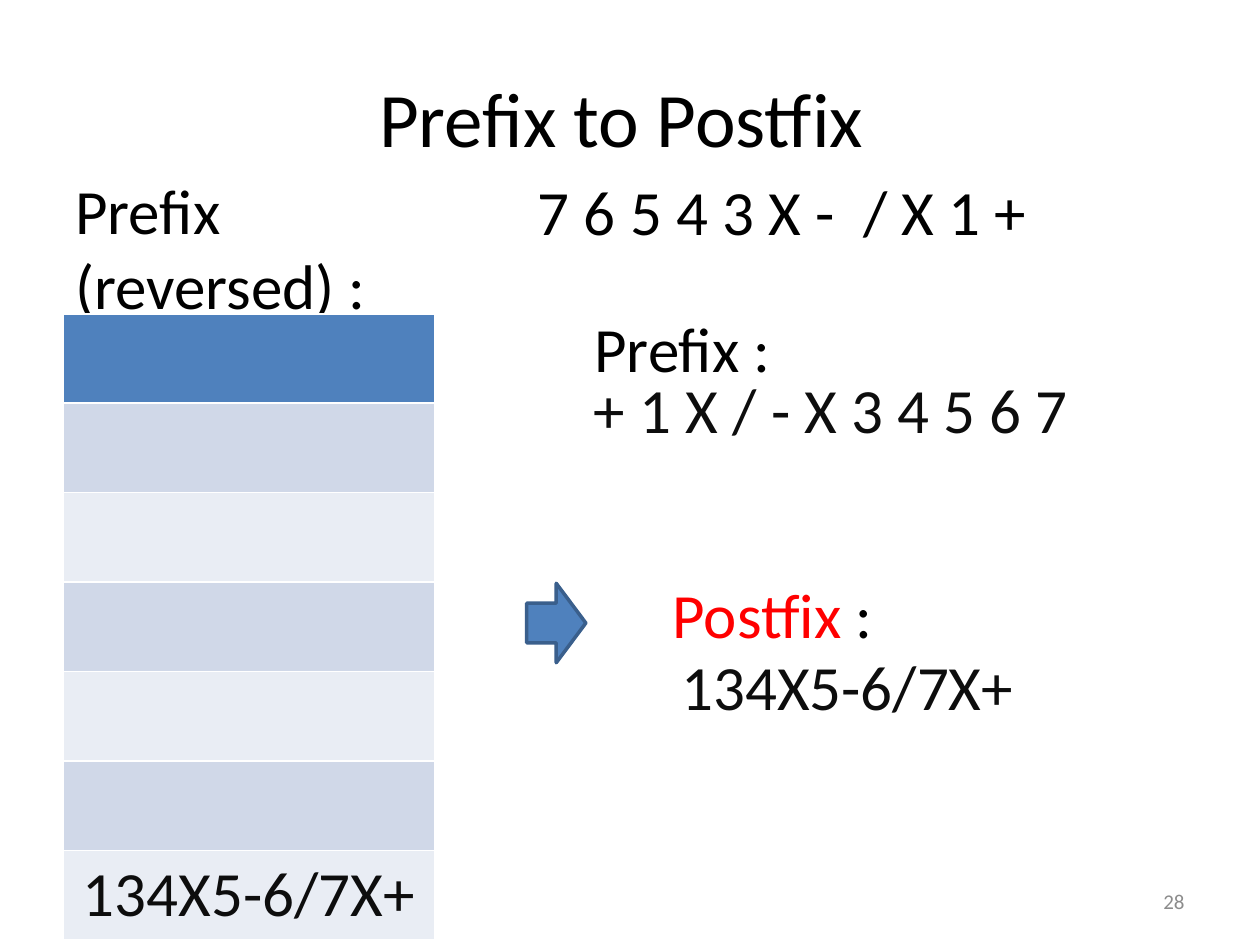
"""Build the Prefix to Postfix slide with its stack table and results."""
from pptx import Presentation
from pptx.dml.color import RGBColor
from pptx.enum.shapes import MSO_SHAPE as Shape
from pptx.enum.text import MSO_ANCHOR as Anchor, PP_ALIGN as Align
from pptx.util import Inches, Pt

BLACK = RGBColor(0x00, 0x00, 0x00)
DARK = RGBColor(0x0D, 0x0D, 0x0D)
GRAY = RGBColor(0x8C, 0x8C, 0x8C)
RED = RGBColor(0xFF, 0x00, 0x00)
BLUE = RGBColor(0x4F, 0x81, 0xBD)
BLUE_EDGE = RGBColor(0x3A, 0x5F, 0x8C)
BAND_DARK = RGBColor(0xD0, 0xD8, 0xE8)
BAND_LIGHT = RGBColor(0xE9, 0xED, 0xF4)


class SlideBuilder:
    font = "Calibri"
    size = 36

    def __init__(self, prs):
        self.s = prs.slides.add_slide(prs.slide_layouts[5])

    def style(self, p, size=None, color=BLACK, align=Align.LEFT):
        p.alignment = align
        p.font.name = self.font
        p.font.size = Pt(size or self.size)
        p.font.color.rgb = color

    def title(self, text, box):
        sp = self.s.shapes.title
        sp.left, sp.top, sp.width, sp.height = map(Inches, box)
        tf = sp.text_frame
        tf.text = text
        tf.vertical_anchor = Anchor.MIDDLE
        self.style(tf.paragraphs[0], 44, align=Align.CENTER)

    def text(self, text, box, anchor=Anchor.TOP, **style):
        tf = self.s.shapes.add_textbox(*map(Inches, box)).text_frame
        tf.word_wrap = True
        tf.vertical_anchor = anchor
        p = tf.paragraphs[0]
        p.text = text
        self.style(p, **style)
        return p

    def stack(self, items, left, top, width, row_height):
        height = row_height * len(items)
        frame = self.s.shapes.add_table(len(items), 1, *map(Inches, (left, top, width, height)))
        for i, item in enumerate(items):
            cell = frame.table.cell(i, 0)
            cell.fill.solid()
            band = BAND_DARK if i % 2 else BAND_LIGHT
            cell.fill.fore_color.rgb = band if i else BLUE
            p = cell.text_frame.paragraphs[0]
            p.text = item
            self.style(p, color=DARK, align=Align.CENTER)

    def arrow(self, box):
        sp = self.s.shapes.add_shape(Shape.RIGHT_ARROW, *map(Inches, box))
        sp.shadow.inherit = False
        sp.fill.solid()
        sp.fill.fore_color.rgb = BLUE
        sp.line.color.rgb = BLUE_EDGE
        sp.line.width = Pt(2)


def main():
    prs = Presentation()
    prs.slide_width, prs.slide_height = Inches(10), Inches(7.5)
    slide = SlideBuilder(prs)
    postfix = "134X5-6/7X+"

    slide.title("Prefix to Postfix ", (0.5, 0.3, 9, 1.25))
    slide.text("7 6 5 4 3 X -  / X 1 +", (4.17, 1.32, 6.29, 0.71))
    slide.text("Prefix (reversed) :", (0.5, 1.31, 3.67, 0.71))
    slide.stack([""] * 6 + [postfix], 0.5, 2.49, 2.95, 0.71)
    slide.arrow((4.18, 4.63, 0.47, 0.63))

    label = slide.text("Postfix ", (5.24, 4.52, 2.05, 0.71))
    label.runs[0].font.color.rgb = RED
    label.add_run().text = ":"
    slide.text(postfix, (3.58, 5.09, 6.29, 0.71), color=DARK, align=Align.CENTER)

    slide.text("Prefix :", (4.62, 2.41, 3.67, 0.71))
    slide.text("+ 1 X / - X 3 4 5 6 7", (3.45, 2.89, 6.29, 0.71), color=DARK, align=Align.CENTER)
    slide.text("28", (7.17, 6.95, 2.33, 0.4), Anchor.MIDDLE, size=12, color=GRAY, align=Align.RIGHT)
    prs.save("out.pptx")


if __name__ == "__main__":
    main()
